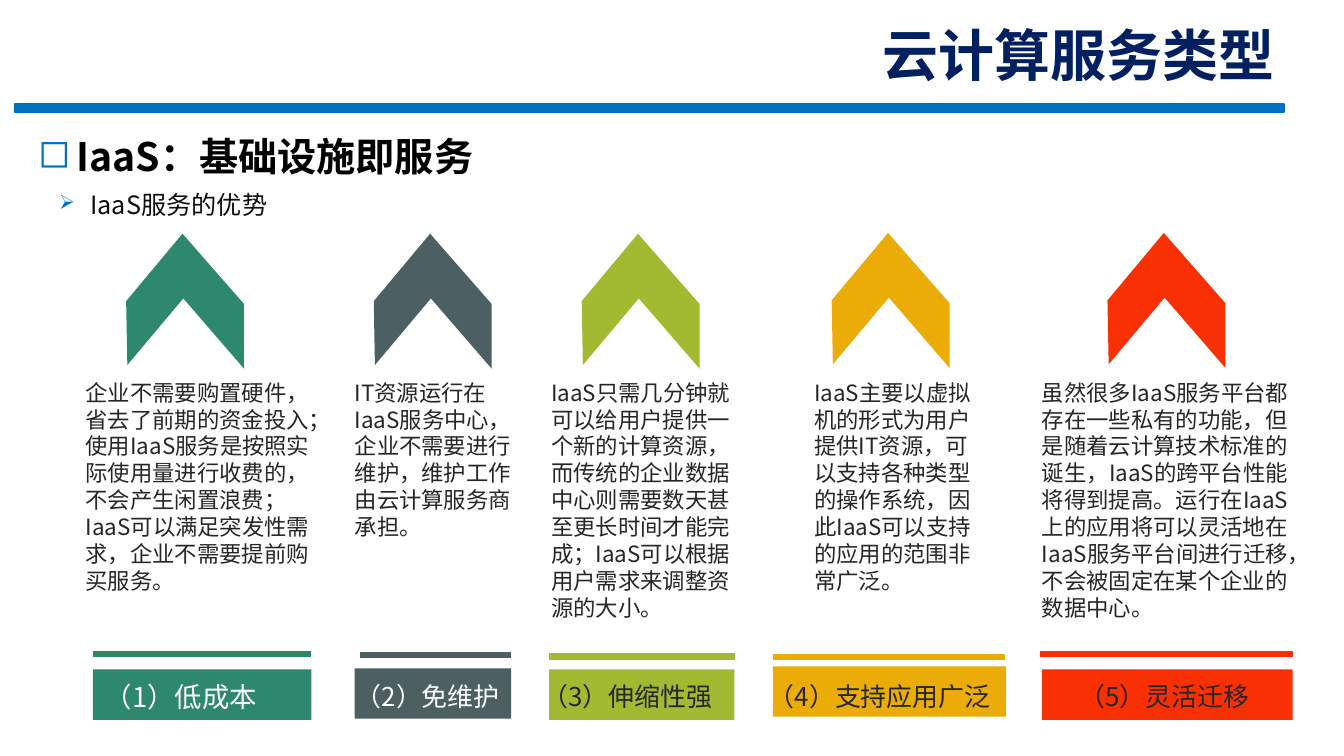
from dataclasses import dataclass

from lxml.etree import SubElement
from pptx import Presentation
from pptx.dml.color import RGBColor
from pptx.enum.shapes import MSO_CONNECTOR, MSO_SHAPE
from pptx.enum.text import MSO_ANCHOR, MSO_AUTO_SIZE, PP_ALIGN
from pptx.oxml.ns import qn
from pptx.util import Cm, Pt

SANS = "Noto Sans CJK SC"
WHITE = RGBColor(0xFF, 0xFF, 0xFF)
BLACK = RGBColor(0x00, 0x00, 0x00)
INK = RGBColor(0x0D, 0x0D, 0x0D)
GREY = RGBColor(0x26, 0x26, 0x26)
NAVY = RGBColor(0x00, 0x20, 0x60)
BLUE = RGBColor(0x00, 0x70, 0xC0)
GREEN = RGBColor(0x2D, 0x88, 0x6E)
GREEN_RULE = RGBColor(0x2D, 0x88, 0x62)
SLATE = RGBColor(0x4C, 0x60, 0x62)
LIME = RGBColor(0xA2, 0xB9, 0x32)
AMBER = RGBColor(0xEB, 0xAC, 0x07)
RED = RGBColor(0xF8, 0x30, 0x03)

# Chevron outline in centimetres from its top left corner
CHEVRON = [(1.42, 0), (2.97, 1.77), (2.97, 3.4), (1.44, 1.63), (0.03, 3.31), (0, 1.7)]


@dataclass
class Advantage:
    """One column; every length is in centimetres."""
    label: str
    text: str
    fill: RGBColor
    rule_color: RGBColor
    label_color: RGBColor
    label_size: float
    chevron: tuple  # left, top
    body: tuple     # left, width, height
    rule: tuple     # left, right, y
    bar: tuple      # left, top, width
    caption: tuple  # left, width


ADVANTAGES = [
    Advantage("（1）低成本",
              "企业不需要购置硬件，省去了前期的资金投入；使用IaaS服务是按照实际使用量进行收费的，"
              "不会产生闲置浪费；IaaS可以满足突发性需求，企业不需要提前购买服务。",
              GREEN, GREEN_RULE, WHITE, 19.6, (3.18, 5.89), (1.91, 6.35, 5.72),
              (2.34, 7.85, 16.48), (2.34, 16.87, 5.51), (2.31, 4.95)),
    Advantage("（2）免维护",
              "IT资源运行在IaaS服务中心，企业不需要进行维护，维护工作由云计算服务商承担。",
              SLATE, SLATE, WHITE, 18.5, (9.42, 5.89), (8.69, 4.62, 4.37),
              (9.07, 12.88, 16.51), (8.94, 16.84, 3.94), (8.64, 4.93)),
    Advantage("（3）伸缩性强",
              "IaaS只需几分钟就可以给用户提供一个新的计算资源，而传统的企业数据中心则需要数天"
              "甚至更长时间才能完成；IaaS可以根据用户需求来调整资源的大小。",
              LIME, LIME, GREY, 18.5, (14.66, 5.89), (13.64, 5.28, 6.4),
              (13.84, 18.52, 16.54), (13.84, 16.87, 4.67), (13.34, 5.44)),
    Advantage("（4）支持应用广泛",
              "IaaS主要以虚拟机的形式为用户提供IT资源，可以支持各种类型的操作系统，"
              "因此IaaS可以支持的应用的范围非常广泛。",
              AMBER, AMBER, GREY, 18.5, (20.96, 5.87), (20.27, 4.75, 5.72),
              (19.48, 25.32, 16.56), (19.48, 16.79, 5.87), (19.05, 6.65)),
    Advantage("（5）灵活迁移",
              "虽然很多IaaS服务平台都存在一些私有的功能，但是随着云计算技术标准的诞生，"
              "IaaS的跨平台性能将得到提高。运行在IaaS上的应用将可以灵活地在IaaS服务平台间进行迁移，"
              "不会被固定在某个企业的数据中心。",
              RED, RED, GREY, 18.5, (27.91, 5.87), (26.01, 6.81, 6.4),
              (26.21, 32.59, 16.48), (26.26, 16.87, 6.32), (26.87, 5.31)),
]


def paint(shape, color):
    shape.shadow.inherit = False
    shape.fill.solid()
    shape.fill.fore_color.rgb = color
    shape.line.fill.background()


def add_bar(page, left, top, width, height, color):
    bar = page.shapes.add_shape(MSO_SHAPE.RECTANGLE, Cm(left), Cm(top), Cm(width), Cm(height))
    paint(bar, color)
    return bar


def add_chevron(page, left, top, color):
    points = [(Cm(left + x), Cm(top + y)) for x, y in CHEVRON]
    builder = page.shapes.build_freeform(*points[0], scale=1.0)
    builder.add_line_segments(points[1:], close=True)
    paint(builder.convert_to_shape(), color)


def add_rule(page, left, right, y, color):
    rule = page.shapes.add_connector(MSO_CONNECTOR.STRAIGHT, Cm(right), Cm(y), Cm(left), Cm(y))
    rule.line.color.rgb = color
    rule.line.width = Pt(4.5)
    SubElement(rule._element.spPr, qn("a:effectLst"))


def add_text(page, left, top, width, height, text, size, color,
             font=SANS, bold=False, anchor=MSO_ANCHOR.TOP):
    box = page.shapes.add_textbox(Cm(left), Cm(top), Cm(width), Cm(height))
    frame = box.text_frame
    frame.word_wrap = True
    frame.vertical_anchor = anchor
    para = frame.paragraphs[0]
    para.text = text
    para.font.size = Pt(size)
    para.font.name = font
    para.font.bold = bold
    para.font.color.rgb = color
    SubElement(para.font._element, qn("a:ea"), typeface=font)
    return frame


def add_bullet(para, mark, indent, percent):
    """Give the paragraph a blue bullet and a hanging indent."""
    properties = para._p.get_or_add_pPr()
    properties.set("marL", str(Cm(indent)))
    properties.set("indent", str(-Cm(indent)))
    bullet_color = properties.makeelement(qn("a:buClr"))
    SubElement(bullet_color, qn("a:srgbClr"), val=str(BLUE))
    bullet_size = properties.makeelement(qn("a:buSzPct"), val=str(percent * 1000))
    bullet_mark = properties.makeelement(qn("a:buChar"), char=mark)
    for position, element in enumerate((bullet_color, bullet_size, bullet_mark)):
        properties.insert(position, element)


def add_advantage(page, item):
    add_chevron(page, *item.chevron, item.fill)
    left, width, height = item.body
    body = add_text(page, left, 9.42, width, height, item.text, 16, GREY)
    body.auto_size = MSO_AUTO_SIZE.SHAPE_TO_FIT_TEXT
    add_rule(page, *item.rule, item.rule_color)
    add_bar(page, *item.bar, 1.27, item.fill)
    left, width = item.caption
    caption = add_text(page, left, 16.87, width, 1.27, item.label,
                       item.label_size, item.label_color, anchor=MSO_ANCHOR.MIDDLE)
    caption.margin_left = caption.margin_right = Cm(0.33)
    caption.paragraphs[0].line_spacing = 1.1


def main():
    deck = Presentation()
    deck.slide_width, deck.slide_height = Cm(33.87), Cm(19.05)
    page = deck.slides.add_slide(deck.slide_layouts[6])

    # Header
    band = add_bar(page, 0.36, 2.62, 32, 0.2, BLUE)
    band.line.color.rgb = BLUE
    band.line.width = Pt(1)
    header = add_text(page, 16.28, 0.86, 16.08, 1.47, "云计算服务类型", 40, NAVY,
                      font="Lato", bold=True, anchor=MSO_ANCHOR.BOTTOM)
    header.paragraphs[0].alignment = PP_ALIGN.RIGHT

    # Headings
    title = add_text(page, 0.71, 3.15, 29.21, 1.57, "IaaS：基础设施即服务", 28, BLACK,
                     bold=True, anchor=MSO_ANCHOR.MIDDLE)
    add_bullet(title.paragraphs[0], "◻", 0.97, 100)
    subtitle = add_text(page, 1.24, 4.27, 29.85, 1.3, "IaaS服务的优势", 18, INK,
                        anchor=MSO_ANCHOR.MIDDLE)
    add_bullet(subtitle.paragraphs[0], "➢", 0.79, 80)
    subtitle.paragraphs[0].line_spacing = 1.6

    # Five advantages
    for item in ADVANTAGES:
        add_advantage(page, item)

    deck.save("out.pptx")


if __name__ == "__main__":
    main()
